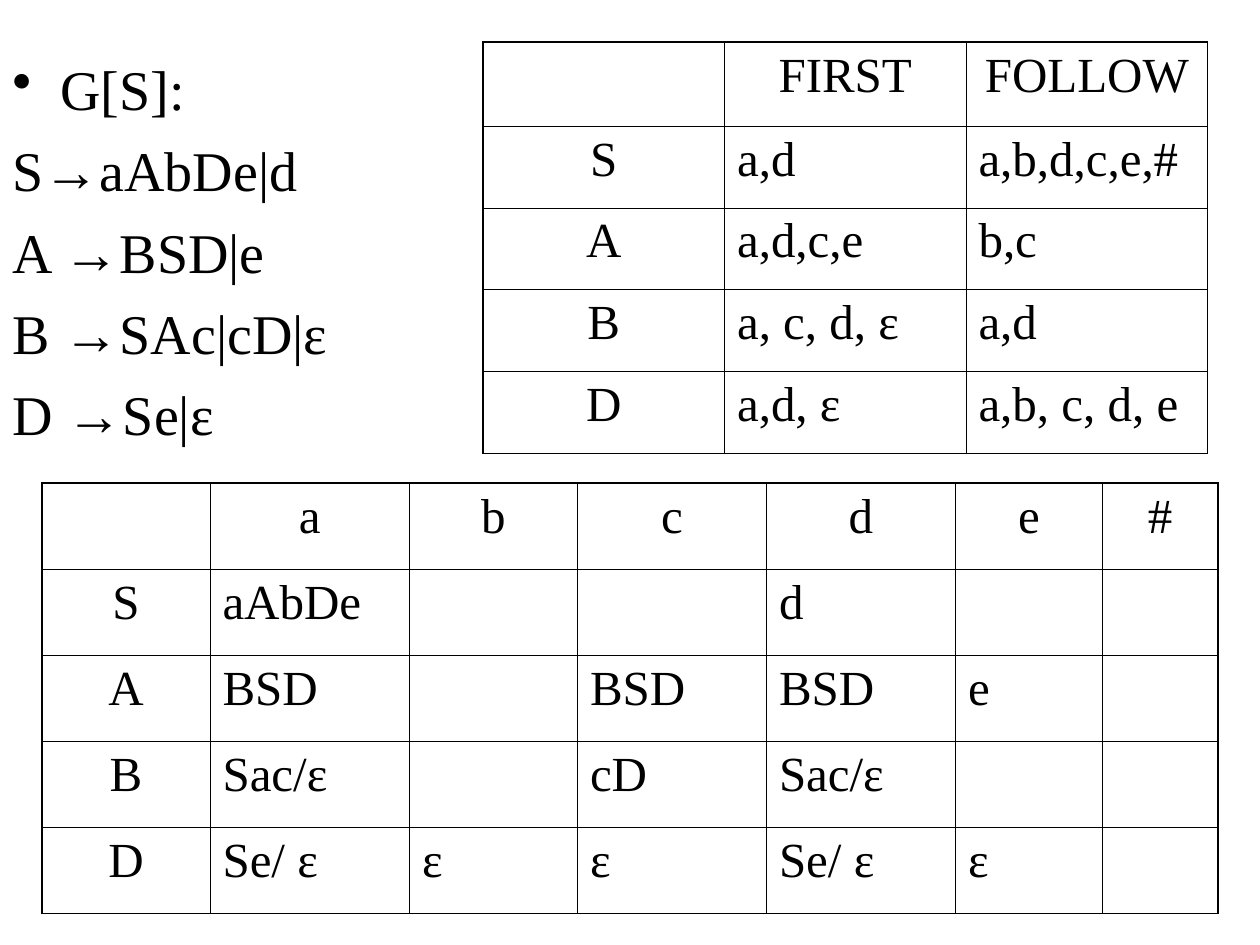
from lxml import etree
from pptx import Presentation
from pptx.dml.color import RGBColor
from pptx.enum.text import PP_ALIGN
from pptx.oxml.ns import qn
from pptx.util import Inches, Pt

CENTER, LEFT = PP_ALIGN.CENTER, PP_ALIGN.LEFT
COLORS = {"ink": "000000"}
FONT = "Times New Roman"
UNIT = Inches(10) / 120
INNER_LINE, OUTER_LINE = Pt(0.45), Pt(1.08)

GRAMMAR = ["G[S]:", "S→aAbDe|d", "A →BSD|e", "B →SAc|cD|ε", "D →Se|ε"]
SETS = [
    ["", "FIRST", "FOLLOW"],
    ["S", "a,d", "a,b,d,c,e,#"],
    ["A", "a,d,c,e", "b,c"],
    ["B", "a, c, d, ε", "a,d"],
    ["D", "a,d, ε", "a,b, c, d, e"],
]
PARSING = [
    ["", "a", "b", "c", "d", "e", "#"],
    ["S", "aAbDe", "", "", "d", "", ""],
    ["A", "BSD", "", "BSD", "BSD", "e", ""],
    ["B", "Sac/ε", "", "cD", "Sac/ε", "", ""],
    ["D", "Se/ ε", "ε", "ε", "Se/ ε", "ε", ""],
]


def grid(count):
    """Return the length of a number of grid units."""
    return round(count * UNIT)


def style_paragraph(para, size):
    """Give a paragraph the common font."""
    para.font.name = FONT
    para.font.size = Pt(size)
    para.font.color.rgb = RGBColor.from_string(COLORS["ink"])


def add_grammar(page, left, top, width, height):
    """Add the production rules under a bulleted heading."""
    box = page.shapes.add_textbox(grid(left), grid(top), grid(width), grid(height))
    frame = box.text_frame
    frame.word_wrap = True
    frame.margin_top = Inches(0.1)
    for index, rule in enumerate(GRAMMAR):
        para = frame.paragraphs[0] if index == 0 else frame.add_paragraph()
        para.text = rule
        properties = para._p.get_or_add_pPr()
        properties.set("marL", str(Inches(0.38)))
        properties.set("indent", str(-Inches(0.38)))
        if index == 0:
            etree.SubElement(properties, qn("a:buChar"), char="•")
        else:
            etree.SubElement(properties, qn("a:buNone"))
            para.space_before = Pt(8)
        style_paragraph(para, 32)


def set_borders(cell, outer_sides):
    """Draw the four cell borders, thicker on the outer sides."""
    properties = cell._tc.get_or_add_tcPr()
    for index, side in enumerate("LRTB"):
        width = OUTER_LINE if side in outer_sides else INNER_LINE
        line = etree.Element(qn(f"a:ln{side}"), w=str(width))
        fill = etree.SubElement(line, qn("a:solidFill"))
        etree.SubElement(fill, qn("a:srgbClr"), val=COLORS["ink"])
        properties.insert(index, line)


def add_grid_table(page, left, top, columns, rows, content):
    """Add a ruled table with centred row and column headings."""
    frame = page.shapes.add_table(len(rows), len(columns), grid(left), grid(top),
                                  grid(sum(columns)), grid(sum(rows)))
    table = frame.table
    table.first_row = table.horz_banding = False
    for column, width in zip(table.columns, columns):
        column.width = grid(width)
    for row, height in zip(table.rows, rows):
        row.height = grid(height)
    for y, texts in enumerate(content):
        for x, text in enumerate(texts):
            cell = table.cell(y, x)
            cell.fill.background()
            edges = {"L": x == 0, "R": x == len(columns) - 1,
                     "T": y == 0, "B": y == len(rows) - 1}
            set_borders(cell, [side for side, outer in edges.items() if outer])
            cell.text = text
            para = cell.text_frame.paragraphs[0]
            para.alignment = CENTER if x == 0 or y == 0 else LEFT
            style_paragraph(para, 28)


def main():
    """Build the slide and save the deck."""
    deck = Presentation()
    deck.slide_width, deck.slide_height = grid(120), grid(90)
    page = deck.slides.add_slide(deck.slide_layouts[6])
    add_grammar(page, 0, 4, 40, 40)
    add_grid_table(page, 46, 4, [23] * 3, [8] + [7.8] * 4, SETS)
    add_grid_table(page, 4, 46, [16, 19, 16, 18, 18, 14, 11], [8.2] * 5, PARSING)
    deck.save("out.pptx")


if __name__ == "__main__":
    main()
